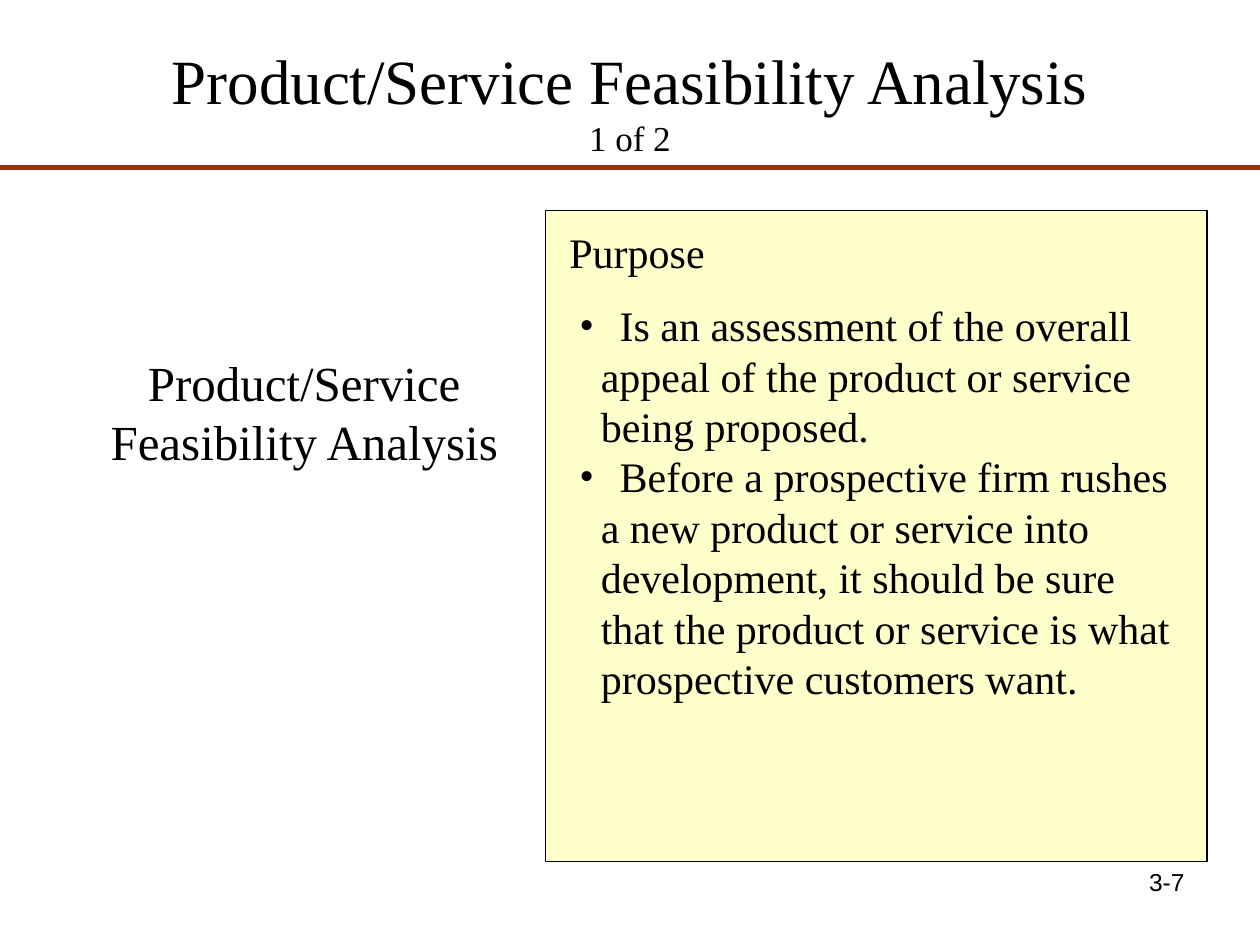
from dataclasses import dataclass
from lxml import etree
from pptx import Presentation
from pptx import util as u
from pptx.dml.color import RGBColor
from pptx.enum import shapes, text
from pptx.oxml import ns

BLACK = RGBColor(0x00, 0x00, 0x00)
CREAM = RGBColor(0xFF, 0xFF, 0xCC)
RUST = RGBColor(0x99, 0x33, 0x00)
SERIF = "Times New Roman"
ALIGN = text.PP_ALIGN
POINTS = [
    ["Is an assessment of the overall",
     "appeal of the product or service",
     "being proposed."],
    ["Before a prospective firm rushes",
     "a new product or service into",
     "development, it should be sure",
     "that the product or service is what",
     "prospective customers want."],
]


@dataclass
class Box:
    left: float
    top: float
    width: float
    height: float

    def frame(self) -> list:
        return [u.Inches(v) for v in (self.left, self.top, self.width, self.height)]


def put(para, words: str, size: int = 24, font: str = SERIF,
        align=ALIGN.LEFT) -> None:
    para.alignment = align
    run = para.add_run()
    run.text = words
    run.font.size = u.Pt(size)
    run.font.name = font
    run.font.color.rgb = BLACK


def label(slide, box: Box):
    frame = slide.shapes.add_textbox(*box.frame()).text_frame
    frame.word_wrap = True
    return frame


def indent(para, left: float, bullet: bool) -> None:
    props = para._p.get_or_add_pPr()
    props.set("marL", str(u.Inches(left)))
    props.set("indent", str(-u.Inches(left) if bullet else 0))
    if bullet:
        etree.SubElement(props, ns.qn("a:buFont")).set("typeface", SERIF)
        etree.SubElement(props, ns.qn("a:buChar")).set("char", "•")


def title(slide) -> None:
    shape = slide.shapes.title
    shape.left, shape.top, shape.width, shape.height = Box(0.5, 0.17, 9, 1.25).frame()
    frame = shape.text_frame
    frame.vertical_anchor = text.MSO_ANCHOR.MIDDLE
    para = frame.paragraphs[0]
    put(para, "Product/Service Feasibility Analysis", size=36, align=ALIGN.CENTER)
    para.add_line_break()
    put(para, "1 of 2", size=20, align=ALIGN.CENTER)


def rule(slide, top: float) -> None:
    line = slide.shapes.add_connector(
        shapes.MSO_CONNECTOR.STRAIGHT, 0, u.Inches(top), u.Inches(10), u.Inches(top))
    line.line.color.rgb = RUST
    line.line.width = u.Pt(3)
    etree.SubElement(line._element.spPr, ns.qn("a:effectLst"))


def panel(slide, box: Box) -> None:
    shape = slide.shapes.add_shape(shapes.MSO_SHAPE.RECTANGLE, *box.frame())
    shape.shadow.inherit = False
    shape.fill.solid()
    shape.fill.fore_color.rgb = CREAM
    shape.line.color.rgb = BLACK
    shape.line.width = u.Pt(0.75)


def points(slide, box: Box) -> None:
    frame = label(slide, box)
    rows = [(line, n == 0) for point in POINTS for n, line in enumerate(point)]
    for n, (line, first) in enumerate(rows):
        para = frame.add_paragraph() if n else frame.paragraphs[0]
        indent(para, 0.32 if first else 0.17, first)
        put(para, line)


def main() -> None:
    deck = Presentation()
    deck.slide_width, deck.slide_height = u.Inches(10), u.Inches(7.5)
    slide = deck.slides.add_slide(deck.slide_layouts[5])
    title(slide)
    rule(slide, 1.33)
    topic = label(slide, Box(0.25, 2.75, 4.33, 1.04))
    put(topic.paragraphs[0], "Product/Service Feasibility Analysis",
        size=28, align=ALIGN.CENTER)
    panel(slide, Box(4.33, 1.67, 5.25, 5.17))
    head = label(slide, Box(4.42, 1.75, 5.08, 0.5))
    put(head.paragraphs[0], "Purpose")
    points(slide, Box(4.5, 2.33, 5, 3.3))
    page = label(slide, Box(7.17, 6.83, 2.33, 0.52))
    put(page.paragraphs[0], "3-7", size=14, font="Arial", align=ALIGN.RIGHT)
    deck.save("out.pptx")


if __name__ == "__main__":
    main()
